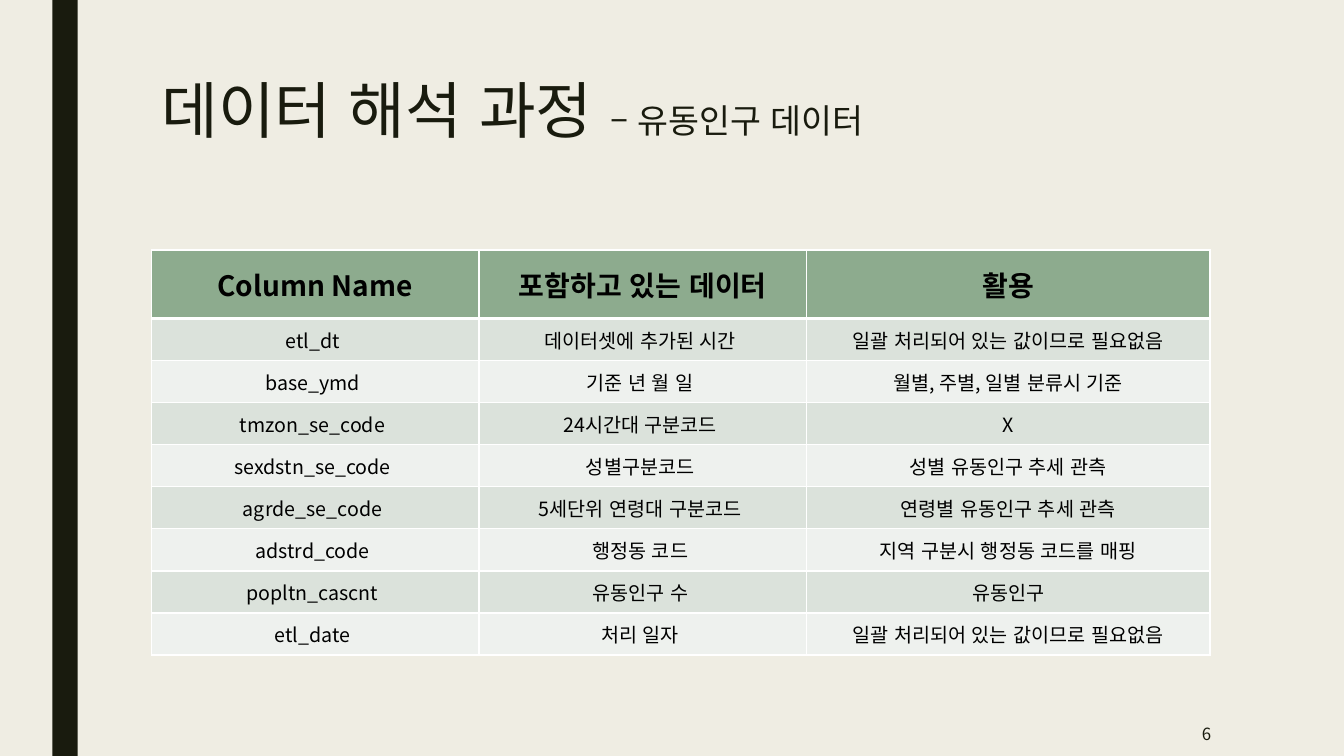
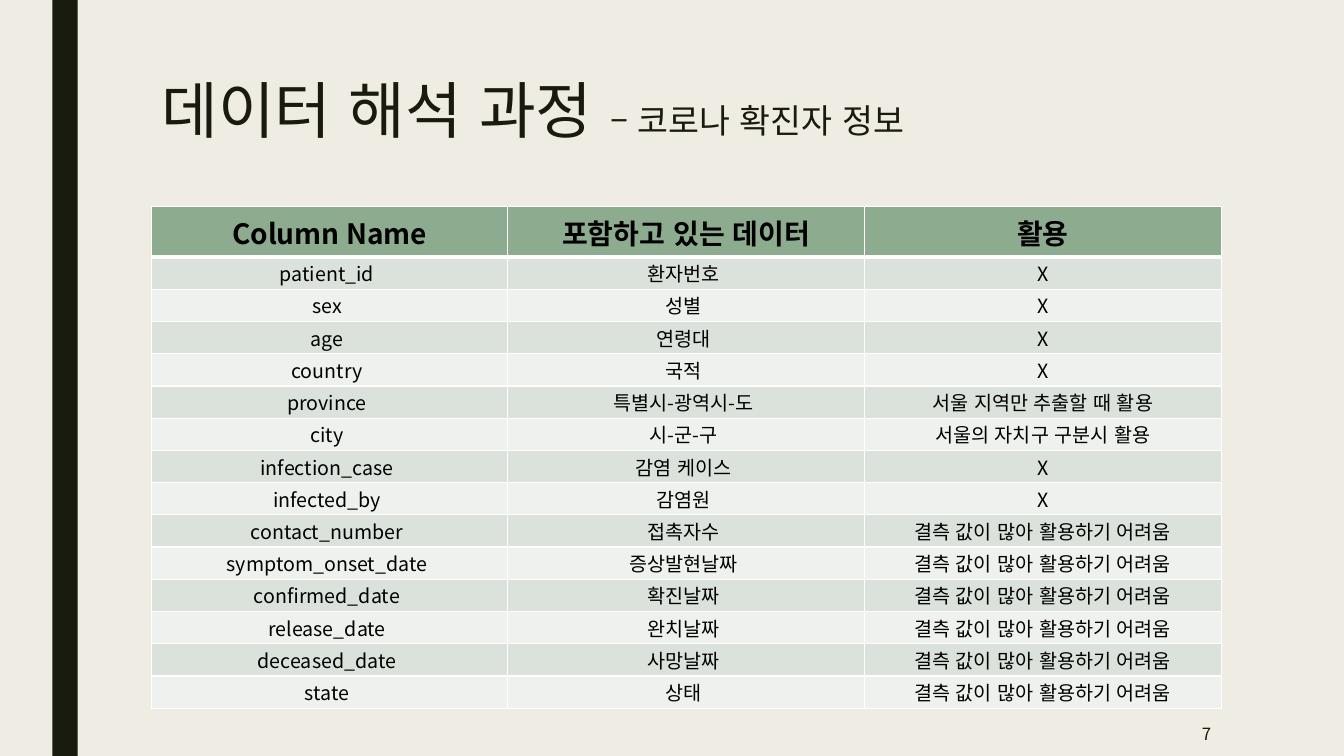
from lxml.etree import SubElement
from pptx import Presentation
from pptx.dml.color import RGBColor
from pptx.enum.lang import MSO_LANGUAGE_ID
from pptx.enum.shapes import MSO_SHAPE
from pptx.enum.text import MSO_ANCHOR, MSO_AUTO_SIZE, PP_ALIGN
from pptx.oxml.ns import qn
from pptx.util import Inches, Pt

FONT = "Noto Sans CJK KR"
HUES = {
    "paper": "EFEDE3", "ink": "191B0E", "head": "8DAB8E",
    "odd": "DBE2DB", "even": "EEF1EE", "text": "000000", "rule": "FFFFFF",
}
HEAD = ("Column Name", "포함하고 있는 데이터", "활용")
BULK = "일괄 처리되어 있는 값이므로 필요없음"
GAPS = "결측 값이 많아 활용하기 어려움"

FLOW = [
    ("etl_dt", "데이터셋에 추가된 시간", BULK),
    ("base_ymd", "기준 년 월 일", "월별, 주별, 일별 분류시 기준"),
    ("tmzon_se_code", "24시간대 구분코드", "X"),
    ("sexdstn_se_code", "성별구분코드", "성별 유동인구 추세 관측"),
    ("agrde_se_code", "5세단위 연령대 구분코드", "연령별 유동인구 추세 관측"),
    ("adstrd_code", "행정동 코드", "지역 구분시 행정동 코드를 매핑"),
    ("popltn_cascnt", "유동인구 수", "유동인구"),
    ("etl_date", "처리 일자", BULK),
]
CASES = [
    ("patient_id", "환자번호", "X"),
    ("sex", "성별", "X"),
    ("age", "연령대", "X"),
    ("country", "국적", "X"),
    ("province", "특별시-광역시-도", "서울 지역만 추출할 때 활용"),
    ("city", "시-군-구", "서울의 자치구 구분시 활용"),
    ("infection_case", "감염 케이스", "X"),
    ("infected_by", "감염원", "X"),
    ("contact_number", "접촉자수", GAPS),
    ("symptom_onset_date", "증상발현날짜", GAPS),
    ("confirmed_date", "확진날짜", GAPS),
    ("release_date", "완치날짜", GAPS),
    ("deceased_date", "사망날짜", GAPS),
    ("state", "상태", GAPS),
]


def grid(*units):
    """Turn grid units, four to the inch, into lengths."""
    return [Inches(unit / 4) for unit in units]


def paint(fill, hue):
    """Fill with one named colour."""
    fill.solid()
    fill.fore_color.rgb = RGBColor.from_string(HUES[hue])


def write(para, text, size=14, hue="text", bold=False, align=None):
    """Add one formatted run to a paragraph."""
    para.alignment = align
    run = para.add_run()
    run.text = text
    font = run.font
    font.size, font.bold, font.name = Pt(size), bold, FONT
    font.language_id = MSO_LANGUAGE_ID.KOREAN
    font.color.rgb = RGBColor.from_string(HUES[hue])
    SubElement(font._element, qn("a:ea"), typeface=FONT)


def edge(cell, **widths):
    """Draw the borders of a cell, with widths in points."""
    props = cell._tc.get_or_add_tcPr()
    for side in "LRTB":
        line = SubElement(props, qn(f"a:ln{side}"), w=str(Pt(widths.get(side, 1))))
        fill = SubElement(line, qn("a:solidFill"))
        SubElement(fill, qn("a:srgbClr"), val=HUES["rule"])


class Deck:
    """Hold the shared style and the current slide."""

    def __init__(self):
        """Open a wide deck with a tinted master."""
        self.prs = Presentation()
        self.prs.slide_width, self.prs.slide_height = Inches(13.33), Inches(7.5)
        paint(self.prs.slide_master.background.fill, "paper")

    def start(self, topic, page):
        """Begin a slide with its band, title and page number."""
        self.slide = self.prs.slides.add_slide(self.prs.slide_layouts[5])
        self.band()
        self.title(topic)
        self.page(page)

    def band(self):
        """Draw the dark band at the left."""
        bar = self.slide.shapes.add_shape(MSO_SHAPE.RECTANGLE, *grid(2.08, 0, 1, 30))
        bar.shadow.inherit = False
        paint(bar.fill, "ink")
        bar.line.fill.background()

    def title(self, topic):
        """Fill the title with the heading and its topic."""
        box = self.slide.shapes.title
        box.left, box.top, box.width, box.height = grid(6, 3, 42, 6.5)
        frame = box.text_frame
        frame.auto_size = MSO_AUTO_SIZE.NONE
        frame.vertical_anchor = MSO_ANCHOR.TOP
        para = frame.paragraphs[0]
        para.line_spacing = 0.89
        write(para, "데이터 해석 과정 ", size=44, hue="ink", align=PP_ALIGN.LEFT)
        write(para, f"– {topic}", size=24, hue="ink", align=PP_ALIGN.LEFT)

    def page(self, number):
        """Set the page number at the lower right."""
        frame = self.slide.shapes.add_textbox(*grid(41.44, 28.24, 7, 1.76)).text_frame
        frame.word_wrap = True
        frame.vertical_anchor = MSO_ANCHOR.MIDDLE
        write(frame.paragraphs[0], str(number), size=12, hue="ink", align=PP_ALIGN.RIGHT)

    def table(self, rows, top, cols, first, step):
        """Draw a banded table below a header row."""
        highs = [first] + [step] * len(rows)
        place = grid(6, top, sum(cols), sum(highs))
        table = self.slide.shapes.add_table(len(highs), len(cols), *place).table
        for col, width in zip(table.columns, grid(*cols)):
            col.width = width
        for row, high in zip(table.rows, grid(*highs)):
            row.height = high
        for r, texts in enumerate([HEAD, *rows]):
            for c, text in enumerate(texts):
                self.cell(table.cell(r, c), text, r, last=c == len(cols) - 1)

    def cell(self, cell, text, row, last):
        """Format one cell by its row and column."""
        head = row == 0
        edge(cell, T=3 if row == 1 else 1, B=3 if head else 1)
        paint(cell.fill, "head" if head else "odd" if row % 2 else "even")
        cell.vertical_anchor = MSO_ANCHOR.MIDDLE
        if not head:
            cell.margin_top = cell.margin_bottom = Inches(0.01)
            cell.margin_right = Inches(0.1 if last else 0.15)
        write(cell.text_frame.paragraphs[0], text, size=20 if head else 14,
              bold=head, align=PP_ALIGN.CENTER)


def main():
    """Build both slides and save them."""
    deck = Deck()
    deck.start("유동인구 데이터", 6)
    deck.table(FLOW, top=9.92, cols=(13, 13, 16), first=2.72, step=1.67)
    deck.start("코로나 확진자 정보", 7)
    deck.table(CASES, top=8.2, cols=(14.15,) * 3, first=2, step=1.28)
    deck.prs.save("out.pptx")


if __name__ == "__main__":
    main()
